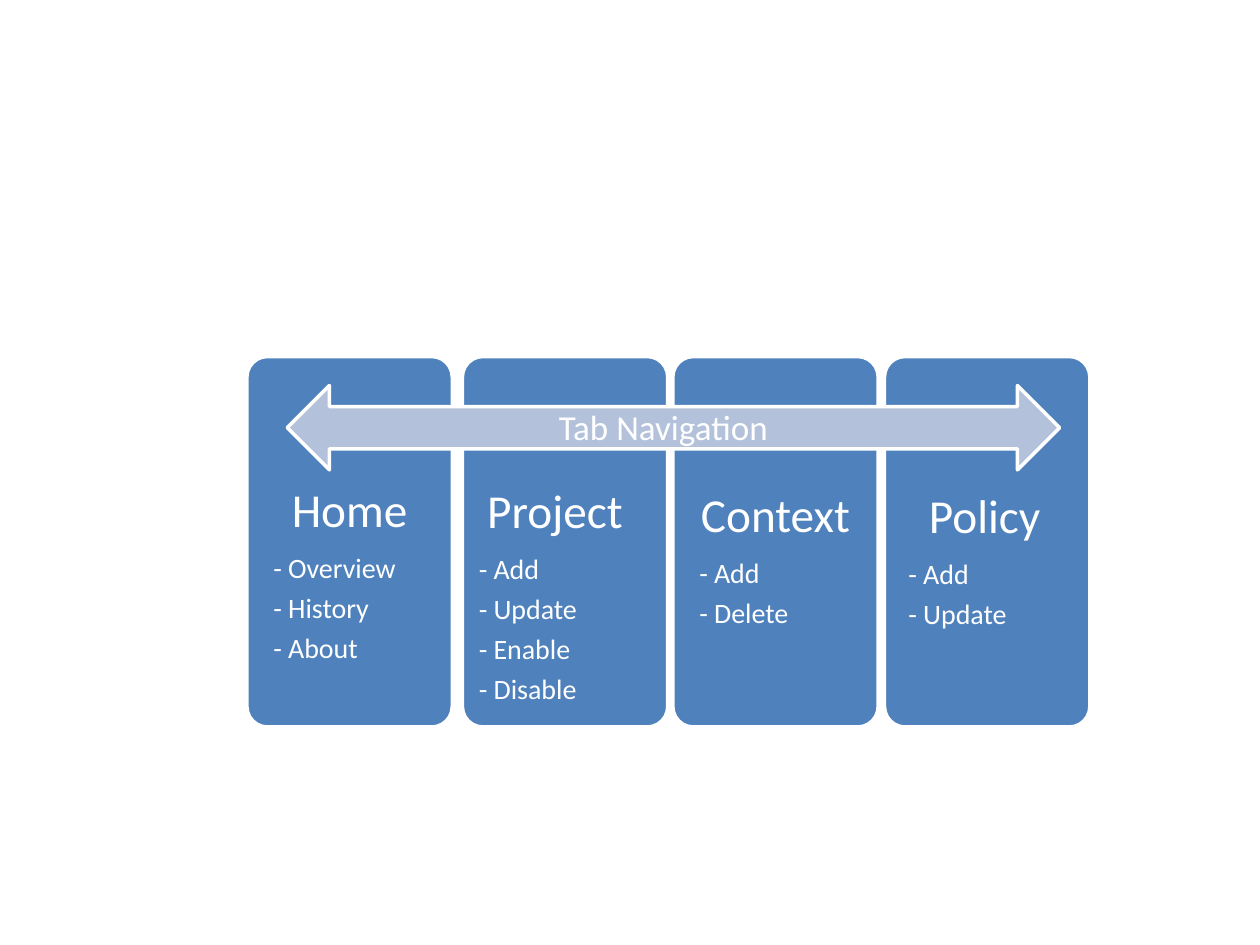
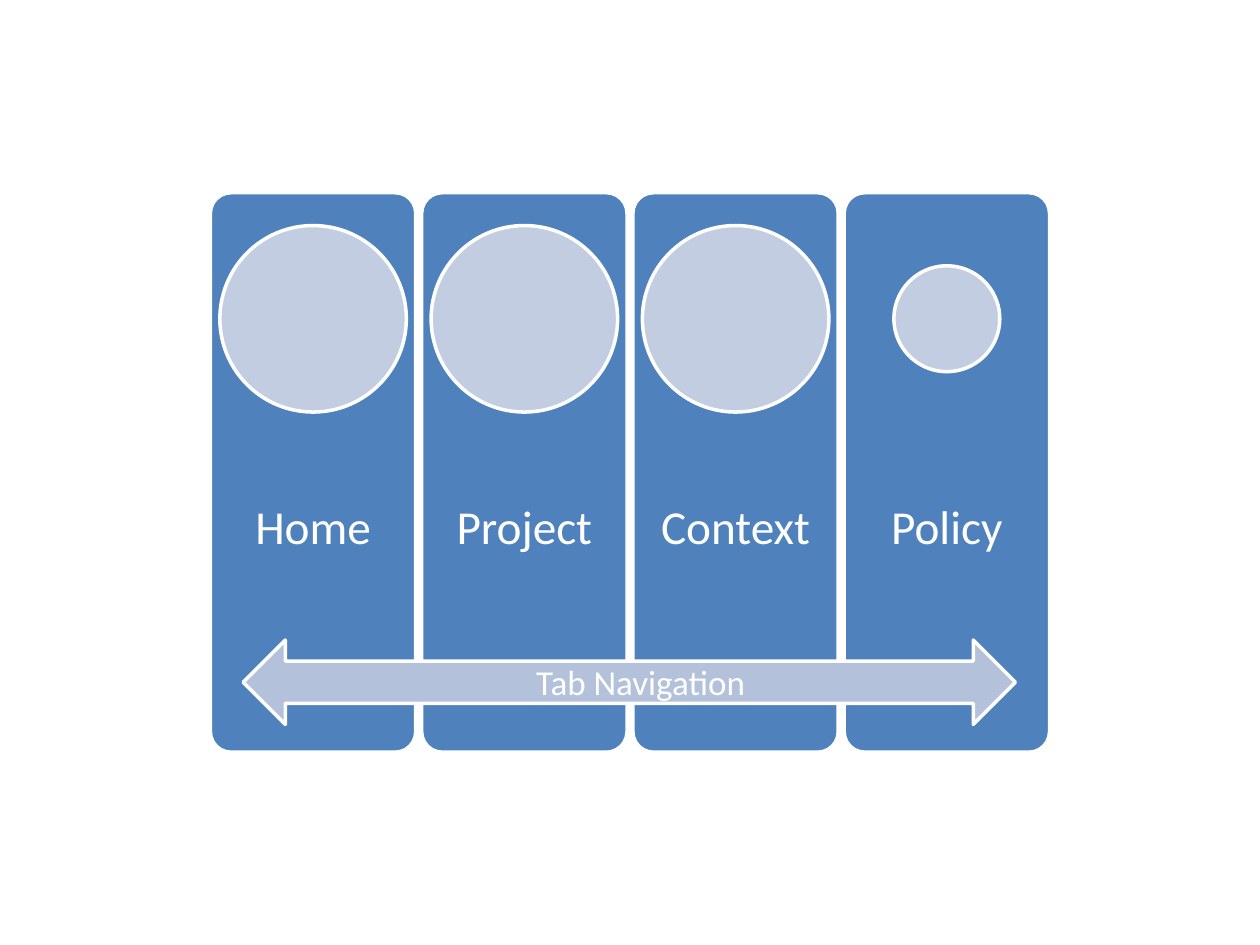
from dataclasses import dataclass

from pptx import Presentation
from pptx.dml.color import RGBColor
from pptx.enum import shapes, text
from pptx.util import Inches, Pt


@dataclass(frozen=True)
class Theme:
    font: str = "Calibri"
    white: RGBColor = RGBColor(0xFF, 0xFF, 0xFF)
    panel: RGBColor = RGBColor(0x4F, 0x81, 0xBD)
    arrow: RGBColor = RGBColor(0xB3, 0xC1, 0xDB)
    circle: RGBColor = RGBColor(0xC2, 0xCD, 0xE1)
    heading_size: int = 27
    item_size: int = 16
    arrow_size: int = 20
    outline: int = 2


THEME = Theme()
KIND = shapes.MSO_SHAPE
PANEL_WIDTH = 1.63

# Heading, items, panel left, label left, label top
MENU_TABS = [
    ("Home", ["Overview", "History", "About"], 1.96, 1.96, 3.86),
    ("Project", ["Add", "Update", "Enable", "Disable"], 3.67, 3.59, 3.87),
    ("Context", ["Add", "Delete"], 5.34, 5.34, 3.9),
    ("Policy", ["Add", "Update"], 7.02, 7.0, 3.91),
]

# Heading and circle diameter
CIRCLE_TABS = [("Home", 1.48), ("Project", 1.48), ("Context", 1.48), ("Policy", 0.84)]


def add_block(page, kind, left, top, width, height, fill):
    """Filled preset shape with the common white outline."""
    block = page.shapes.add_shape(
        kind, Inches(left), Inches(top), Inches(width), Inches(height))
    block.shadow.inherit = False
    block.fill.solid()
    block.fill.fore_color.rgb = fill
    block.line.color.rgb = THEME.white
    block.line.width = Pt(THEME.outline)
    return block


def add_panel(page, left, top, height):
    panel = add_block(page, KIND.ROUNDED_RECTANGLE, left, top, PANEL_WIDTH, height, THEME.panel)
    panel.adjustments[0] = 0.1


def add_textbox(page, left, top, width, height):
    box = page.shapes.add_textbox(Inches(left), Inches(top), Inches(width), Inches(height))
    box.text_frame.word_wrap = True
    return box.text_frame


def write(para, words, size, align):
    para.text = words
    para.alignment = align
    for span in para.runs:
        span.font.name = THEME.font
        span.font.size = Pt(size)
        span.font.color.rgb = THEME.white


def add_label(page, left, top, height, heading, items=(), anchor=text.MSO_ANCHOR.TOP):
    """Centred heading, followed by left-aligned items."""
    frame = add_textbox(page, left, top, PANEL_WIDTH, height)
    frame.vertical_anchor = anchor
    frame.margin_left = frame.margin_right = Inches(0.21)
    frame.margin_top = frame.margin_bottom = 0
    write(frame.paragraphs[0], heading, THEME.heading_size, text.PP_ALIGN.CENTER)
    for item in items:
        write(frame.add_paragraph(), f"- {item}", THEME.item_size, text.PP_ALIGN.LEFT)
    for para in frame.paragraphs:
        para.line_spacing = 0.9
        para.space_after = Pt(0.35 * para.runs[0].font.size.pt)


def add_navigation(page, left, top, caption_left):
    """Double arrow across the panels, with its caption."""
    add_block(page, KIND.LEFT_RIGHT_ARROW, left, top, 6.13, 0.67, THEME.arrow)
    frame = add_textbox(page, caption_left, top + 0.11, 3.17, 0.44)
    write(frame.paragraphs[0], "Tab Navigation", THEME.arrow_size, text.PP_ALIGN.CENTER)


def build_menu_page(page):
    for heading, items, panel_left, label_left, label_top in MENU_TABS:
        add_panel(page, panel_left, 2.83, 2.94)
        add_label(page, label_left, label_top, 1.8, heading, items)
    add_navigation(page, 2.28, 3.06, 3.68)


def build_circle_page(page):
    first, last = 1.67, 6.7
    step = (last - first) / (len(CIRCLE_TABS) - 1)
    circle_middle = 2.53
    for index, (heading, diameter) in enumerate(CIRCLE_TABS):
        left = first + index * step
        add_panel(page, left, 1.53, 4.44)
        add_label(page, left, 3.31, 1.78, heading, anchor=text.MSO_ANCHOR.MIDDLE)
        add_block(page, KIND.OVAL, left + (PANEL_WIDTH - diameter) / 2,
                  circle_middle - diameter / 2, diameter, diameter, THEME.circle)
    add_navigation(page, 1.93, 5.08, 3.5)


def main():
    deck = Presentation()
    deck.slide_width, deck.slide_height = Inches(10), Inches(7.5)
    blank = deck.slide_layouts[6]
    for build in (build_menu_page, build_circle_page):
        build(deck.slides.add_slide(blank))
    deck.save("out.pptx")


main()
